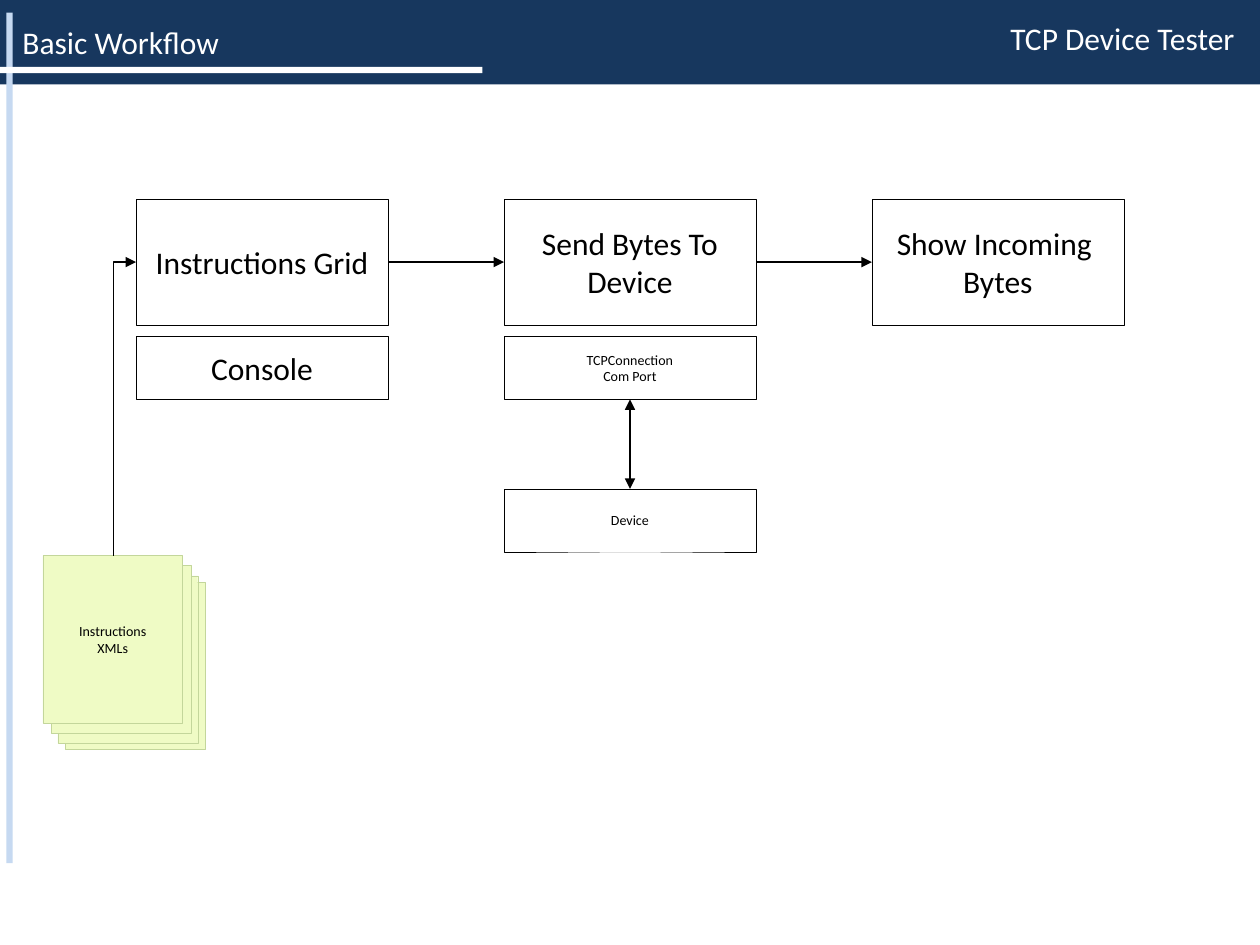
from dataclasses import dataclass

from lxml import etree
from pptx import Presentation
from pptx.dml.color import RGBColor
from pptx.enum.shapes import MSO_CONNECTOR, MSO_SHAPE
from pptx.enum.text import MSO_ANCHOR, MSO_AUTO_SIZE, PP_ALIGN
from pptx.oxml.ns import qn
from pptx.util import Inches, Pt

RECT = MSO_SHAPE.RECTANGLE
STRAIGHT, ELBOW = MSO_CONNECTOR.STRAIGHT, MSO_CONNECTOR.ELBOW
MIDDLE, CENTER, LEFT = MSO_ANCHOR.MIDDLE, PP_ALIGN.CENTER, PP_ALIGN.LEFT
FIT = MSO_AUTO_SIZE.SHAPE_TO_FIT_TEXT
TOP_SIDE, LEFT_SIDE, BOTTOM_SIDE, RIGHT_SIDE = range(4)


@dataclass(frozen=True)
class Theme:
    font: str = "Calibri"
    navy: str = "17375E"
    pale: str = "C6D9F1"
    white: str = "FFFFFF"
    black: str = "000000"
    sheet: str = "EFFBC5"
    edge: str = "C3D69B"
    large: float = 18
    small: float = 8
    thin: float = 0.25
    arrow: float = 0.75


THEME = Theme()


def color(code):
    return RGBColor.from_string(code)


def put(target, values):
    for name, value in values.items():
        setattr(target, name, value)


def write(frame, lines, size, ink, align):
    for i, line in enumerate(lines):
        para = frame.add_paragraph() if i else frame.paragraphs[0]
        para.alignment = align
        run = para.add_run()
        run.text = line
        put(run.font, {"name": THEME.font, "size": Pt(size)})
        run.font.color.rgb = color(ink)


def add_rect(slide, place, fill, edge=None):
    shape = slide.shapes.add_shape(RECT, *map(Inches, place))
    shape.shadow.inherit = False
    shape.fill.solid()
    shape.fill.fore_color.rgb = color(fill)
    if edge:
        shape.line.color.rgb = color(edge)
        shape.line.width = Pt(THEME.thin)
    else:
        shape.line.fill.background()
    return shape


def add_box(slide, place, lines, size, fill=THEME.white, edge=THEME.black):
    box = add_rect(slide, place, fill, edge)
    put(box.text_frame, {"word_wrap": True, "vertical_anchor": MIDDLE})
    write(box.text_frame, lines, size, THEME.black, CENTER)
    return box


def add_title(slide, place, text):
    frame = slide.shapes.add_textbox(*map(Inches, place)).text_frame
    put(frame, {"word_wrap": False, "auto_size": FIT})
    write(frame, [text], THEME.large, THEME.white, LEFT)


def style_arrow(link, ends):
    link.line.color.rgb = color(THEME.black)
    link.line.width = Pt(THEME.arrow)
    line = link.line._get_or_add_ln()
    for end in ends:
        etree.SubElement(line, qn(f"a:{end}"), type="triangle")
    etree.SubElement(link._element.spPr, qn("a:effectLst"))


def join(slide, start, out, stop, into, ends=("tailEnd",)):
    link = slide.shapes.add_connector(STRAIGHT, 0, 0, 0, 0)
    link.begin_connect(start, out)
    link.end_connect(stop, into)
    style_arrow(link, ends)


def add_bend(slide, x1, y1, x2, y2):
    """Arrow that runs up from the first point, then right to the second."""
    rise, run = y1 - y2, x2 - x1
    left = (x1 + x2 - rise) / 2
    top = (y1 + y2 - run) / 2
    link = slide.shapes.add_connector(
        ELBOW, *map(Inches, (left, top, left + rise, top + run)))
    props = link._element.spPr
    props.find(qn("a:xfrm")).set("rot", str(270 * 60000))
    props.find(qn("a:prstGeom")).set("prst", "bentConnector2")
    style_arrow(link, ["tailEnd"])


def add_header(slide):
    add_rect(slide, (0, 0, 10, 0.67), THEME.navy)
    add_rect(slide, (0.05, 0.1, 0.05, 6.75), THEME.pale)
    add_rect(slide, (0, 0.53, 3.83, 0.05), THEME.white)
    add_title(slide, (7.92, 0.1, 2, 0.4), "TCP Device Tester")
    add_title(slide, (0.08, 0.13, 1.78, 0.4), "Basic Workflow")


def add_flow(slide):
    first, step, top, low = 1.08, 2.92, 1.58, 2.67
    mid = first + step
    steps = [["Instructions Grid"], ["Send Bytes To Device"],
             ["Show Incoming ", "Bytes"]]
    grid, send, show = [
        add_box(slide, (first + i * step, top, 2, 1), lines, THEME.large)
        for i, lines in enumerate(steps)]
    add_box(slide, (first, low, 2, 0.5), ["Console"], THEME.large)
    port = add_box(slide, (mid, low, 2, 0.5),
                   ["TCPConnection", "Com Port"], THEME.small)
    device = add_box(slide, (mid, 3.88, 2, 0.5), ["Device"], THEME.small)
    join(slide, grid, RIGHT_SIDE, send, LEFT_SIDE)
    join(slide, send, RIGHT_SIDE, show, LEFT_SIDE)
    join(slide, port, BOTTOM_SIDE, device, TOP_SIDE, ("headEnd", "tailEnd"))


def add_sheets(slide):
    wide, high = 1.11, 1.33
    for left, top in [(0.52, 4.62), (0.46, 4.57), (0.41, 4.49)]:
        add_rect(slide, (left, top, wide, high), THEME.sheet, THEME.edge)
    add_box(slide, (0.34, 4.41, wide, high), ["Instructions", "XMLs"],
            THEME.small, THEME.sheet, THEME.edge)
    add_bend(slide, 0.9, 4.41, 1.08, 2.08)


def main():
    deck = Presentation()
    put(deck, {"slide_width": Inches(10), "slide_height": Inches(7.5)})
    slide = deck.slides.add_slide(deck.slide_layouts[6])
    add_header(slide)
    add_flow(slide)
    add_sheets(slide)
    deck.save("out.pptx")


if __name__ == "__main__":
    main()
